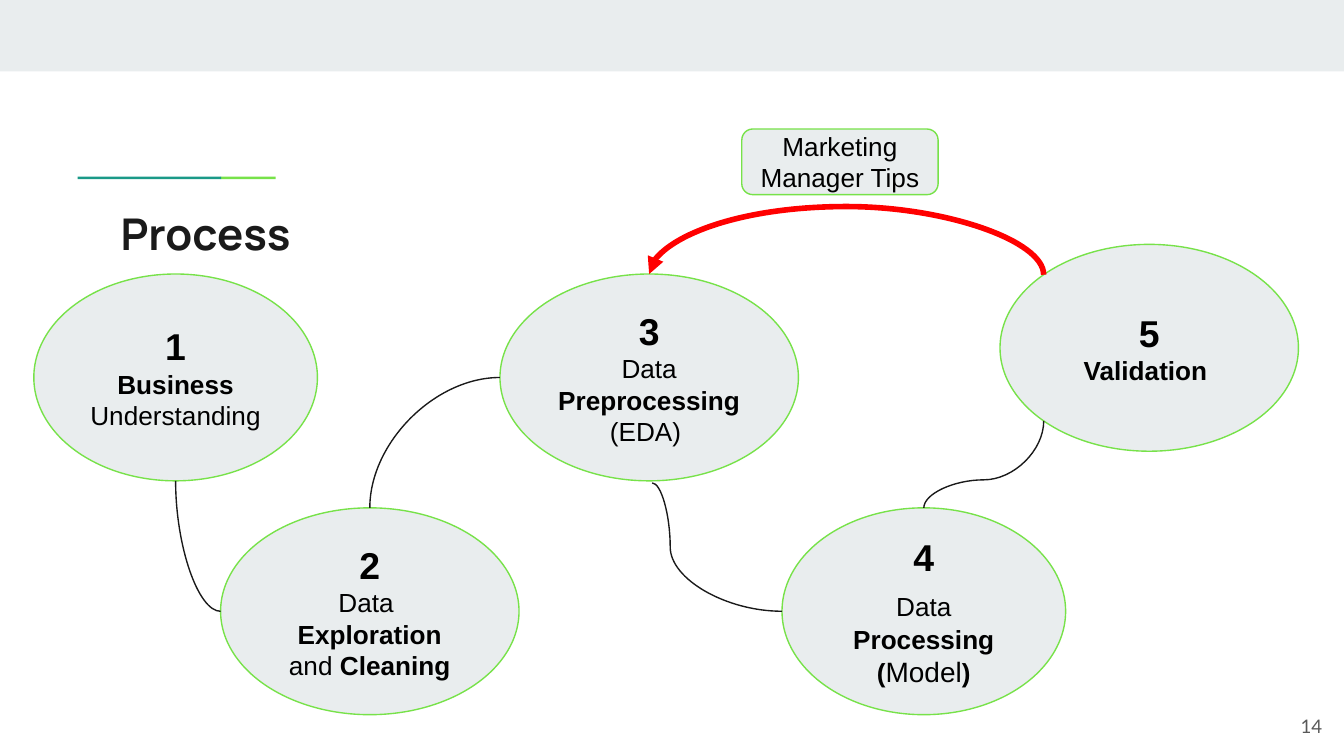
import pptx
import pptx.util
import pptx.dml.color
import pptx.enum.shapes
import pptx.enum.text
import pptx.oxml.ns
from lxml import etree

Cm = pptx.util.Cm
MSO = pptx.enum.shapes.MSO_SHAPE
ALIGN = pptx.enum.text.PP_ALIGN
ANCHOR = pptx.enum.text.MSO_ANCHOR
qn = pptx.oxml.ns.qn

PALE, GREEN, TEAL, INK, RED = "E9EDEE", "77E249", "1A9988", "1A1A1A", "FF0000"


def rgb(value):
    return pptx.dml.color.RGBColor.from_string(value)


def add_text(sp, paragraphs, font="Arial", color="000000", align=ALIGN.CENTER, anchor=ANCHOR.MIDDLE):
    tf = sp.text_frame
    tf.word_wrap = True
    tf.vertical_anchor = anchor
    tf.margin_left = tf.margin_right = tf.margin_top = tf.margin_bottom = Cm(0.25)
    for i, runs in enumerate(paragraphs):
        p = tf.paragraphs[0] if i == 0 else tf.add_paragraph()
        p.alignment = align
        for text, size, bold in runs:
            r = p.add_run()
            r.text = text
            r.font.size = pptx.util.Pt(size)
            r.font.bold = bold
            r.font.name = font
            r.font.color.rgb = rgb(color)


def add_box(s, kind, box, fill, line=None):
    sp = s.shapes.add_shape(kind, *(Cm(v) for v in box))
    sp.shadow.inherit = False
    sp.fill.solid()
    sp.fill.fore_color.rgb = rgb(fill)
    if line:
        sp.line.color.rgb = rgb(line)
        sp.line.width = pptx.util.Pt(0.75)
    else:
        sp.line.fill.background()
    return sp


def add_label(s, box, text, size, bold, font, color, align, anchor):
    sp = s.shapes.add_textbox(*(Cm(v) for v in box))
    add_text(sp, [[(text, size, bold)]], font, color, align, anchor)


def add_header(s, box):
    left, top, width, height = box
    add_box(s, MSO.RECTANGLE, (left, top, width, 1.35), PALE)
    add_box(s, MSO.RECTANGLE, (left + 4.17, top + 3.34, 1.04, 0.05), GREEN)
    add_box(s, MSO.RECTANGLE, (left + 1.47, top + 3.34, 2.71, 0.05), TEAL)
    add_label(s, (left + 2.03, top + 3.66, 21.36, height - 3.66), "Process", 23.4, True,
              "Manrope", INK, ALIGN.LEFT, ANCHOR.TOP)


def add_step(s, box, number, lines):
    sp = add_box(s, MSO.OVAL, box, PALE, GREEN)
    add_text(sp, [[(number, 20, True)]] + lines)


def anchor_point(box, fx, fy):
    left, top, width, height = box
    return left + width * fx, top + height * fy


def add_link(s, start, end, vertical=True, reach=None, color=INK, weight=0.75, arrow=False):
    dx, dy = end[0] - start[0], end[1] - start[1]
    width, height = (abs(dy), abs(dx)) if vertical else (abs(dx), abs(dy))
    left = (start[0] + end[0] - width) / 2
    top = (start[1] + end[1] - height) / 2
    c = s.shapes.add_connector(pptx.enum.shapes.MSO_CONNECTOR.CURVE, Cm(left), Cm(top),
                               Cm(left + width), Cm(top + height))
    c.line.color.rgb = rgb(color)
    c.line.width = pptx.util.Pt(weight)
    props = c._element.spPr
    if vertical:
        xfrm = props.find(qn("a:xfrm"))
        xfrm.set("rot", str((270 if dx > 0 else 90) * 60000))
        if (dx > 0) == (dy > 0):
            xfrm.set("flipH", "1")
    geom = props.find(qn("a:prstGeom"))
    if reach is None:
        geom.set("prst", "curvedConnector2")
    else:
        guide = etree.SubElement(geom.find(qn("a:avLst")), qn("a:gd"))
        guide.set("name", "adj1")
        guide.set("fmla", f"val {round(reach / width * 100000)}")
    if arrow:
        etree.SubElement(props.find(qn("a:ln")), qn("a:tailEnd")).set("type", "triangle")
    etree.SubElement(props, qn("a:effectLst"))


def add_process(s, box):
    left, top, width, height = box
    narrow, wide, tall = 5.36, 5.64, 3.91
    middle, low = top + 0.56, top + height - tall
    business = (left, middle, narrow, tall)
    exploration = (left + 3.53, low, wide, tall)
    preprocessing = (left + 8.81, middle, wide, tall)
    model = (left + 14.14, low, narrow, tall)
    validation = (left + width - wide, top, wide, tall)

    add_step(s, business, "1", [[("Business", 14, True), (" Understanding ", 14, False)]])
    add_step(s, exploration, "2", [
        [("Data ", 14, False)],
        [("Exploration", 14, True), (" and ", 14, False), ("Cleaning", 14, True)]])
    add_step(s, validation, "5", [[("Validation ", 14, True)]])
    add_step(s, preprocessing, "3", [
        [("Data ", 14, False), ("Preprocessing", 14, True)],
        [("(EDA) ", 14, False)]])
    add_step(s, model, "4", [
        [("Data", 14, False), (" ", 20, True), ("Processing", 14, True)],
        [("(", 14, True), ("Model", 15, False), (")", 14, True)]])

    near, far = 0.5 - 0.5 ** 1.5, 0.5 + 0.5 ** 1.5
    add_link(s, anchor_point(validation, near, near), anchor_point(preprocessing, 0.5, 0),
             reach=1.25, color=RED, weight=3, arrow=True)
    add_link(s, anchor_point(exploration, 0.5, 0), anchor_point(preprocessing, 0, 0.5))
    add_link(s, anchor_point(business, 0.5, 1), anchor_point(exploration, 0, 0.5))
    add_link(s, anchor_point(model, 0.5, 0), anchor_point(validation, near, far), reach=0.53)
    add_link(s, anchor_point(preprocessing, 0.51, 1.01), anchor_point(model, 0, 0.5),
             vertical=False, reach=0.34)


def add_tip(s, box):
    sp = add_box(s, MSO.FLOWCHART_ALTERNATE_PROCESS, box, PALE, GREEN)
    add_text(sp, [[("Marketing Manager Tips", 14, False)]])


def main():
    prs = pptx.Presentation()
    prs.slide_width, prs.slide_height = Cm(25.4), Cm(14.29)
    s = prs.slides.add_slide(prs.slide_layouts[6])
    add_header(s, (0, 0, 25.4, 5.16))
    add_process(s, (0.64, 4.62, 23.9, 8.89))
    add_tip(s, (14.02, 2.44, 3.71, 1.24))
    add_label(s, (23.72, 13.18, 1.52, 1.09), "14", 10, False, "Lato", "595959",
              ALIGN.RIGHT, ANCHOR.MIDDLE)
    prs.save("out.pptx")


if __name__ == "__main__":
    main()
